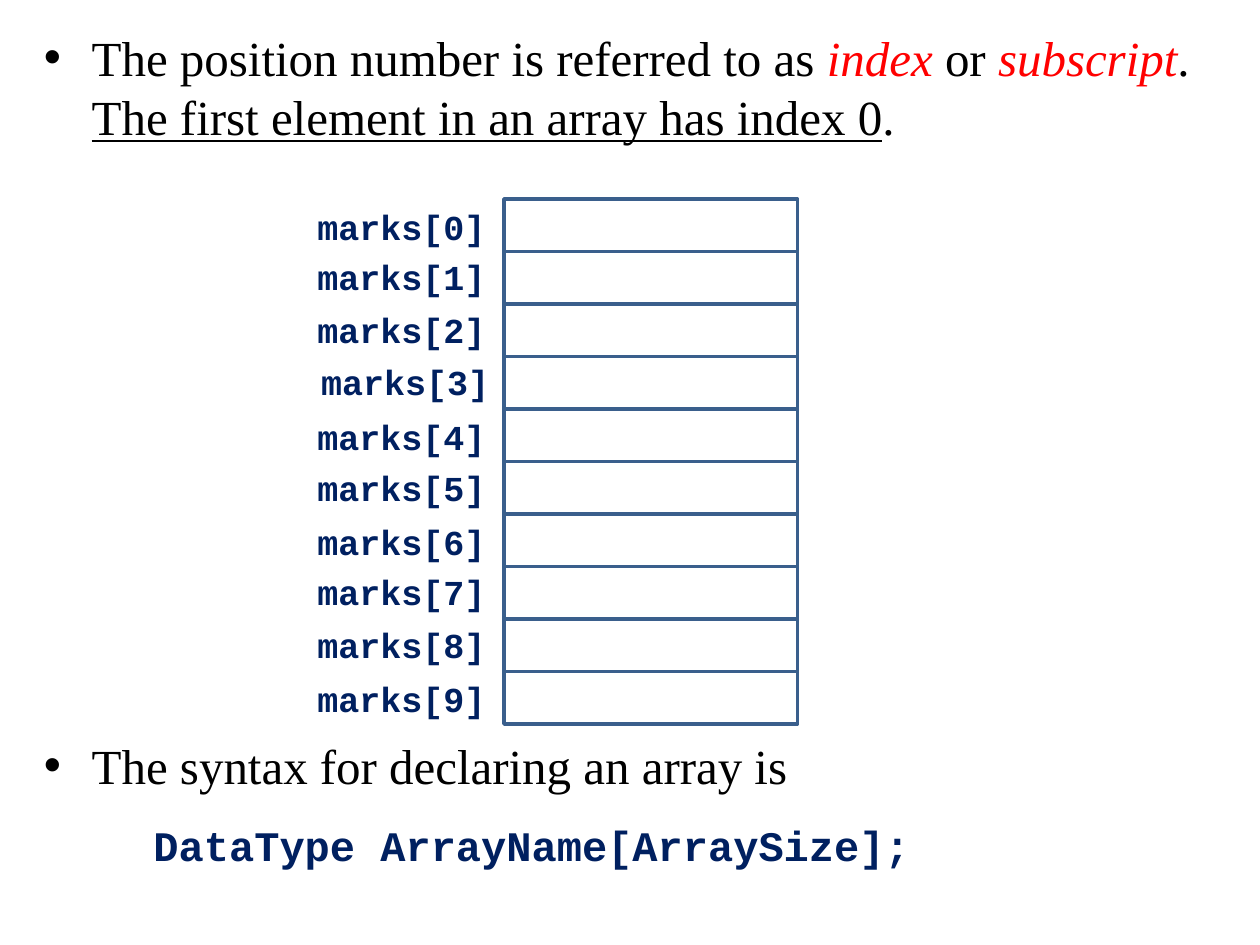
"""Build a slide on array indexes and array declaration syntax."""
from dataclasses import dataclass

from lxml import etree
from pptx import Presentation
from pptx.dml.color import RGBColor
from pptx.enum.shapes import MSO_SHAPE
from pptx.oxml.ns import qn
from pptx.util import Inches, Pt

RECT = MSO_SHAPE.RECTANGLE


@dataclass(frozen=True)
class Theme:
    body_font: str = "Times New Roman"
    code_font: str = "Courier New"
    black: str = "000000"
    red: str = "FF0000"
    navy: str = "002060"
    white: str = "FFFFFF"
    border: str = "3A5F8C"
    body_size: int = 28
    syntax_size: int = 24
    label_size: int = 20
    border_width: int = 2


THEME = Theme()


@dataclass(frozen=True)
class Span:
    text: str
    color: str = THEME.black
    size: int = THEME.body_size
    font: str = THEME.body_font
    bold: bool = False
    italic: bool = False
    underline: bool = False


@dataclass(frozen=True)
class Para:
    spans: tuple[Span, ...]
    margin: float
    hanging: float = 0
    before: float = 0


@dataclass(frozen=True)
class Label:
    index: int
    top: float
    left: float = 2.42


def code(text: str, size: int) -> Span:
    return Span(text, THEME.navy, size, THEME.code_font, bold=True)


PARAS = (
    Para((Span("The position number is referred to as "),
          Span("index", THEME.red, italic=True),
          Span(" or "),
          Span("subscript", THEME.red, italic=True),
          Span(". "),
          Span("The first element in an array has index 0", underline=True),
          Span(".")), 0.38, 0.38, 5.6),
    Para((Span("The syntax for declaring an array is"),), 0.38, 0.38, 337),
    Para((code("DataType ArrayName[ArraySize];", THEME.syntax_size),), 0.87, 0, 14.5),
)
LABELS = (
    Label(0, 1.58), Label(1, 1.98), Label(2, 2.4), Label(3, 2.81, 2.45),
    Label(4, 3.25), Label(5, 3.65), Label(6, 4.08), Label(7, 4.48),
    Label(8, 4.9), Label(9, 5.33),
)
CELL_LEFT, CELL_TOP, CELL_WIDTH = 4, 1.58, 2.33
CELL_HEIGHT = 5 / 12


def add_span(p, span: Span) -> None:
    r = p.add_run()
    r.text = span.text
    r.font.name = span.font
    r.font.size = Pt(span.size)
    r.font.bold = span.bold
    r.font.italic = span.italic
    r.font.underline = span.underline
    r.font.color.rgb = RGBColor.from_string(span.color)


def add_body(slide) -> None:
    tf = slide.shapes.add_textbox(
        Inches(0.25), Inches(0.17), Inches(9.5), Inches(7.08)).text_frame
    tf.word_wrap = True
    for i, para in enumerate(PARAS):
        p = tf.add_paragraph() if i else tf.paragraphs[0]
        p.space_before = Pt(para.before)
        pPr = p._p.get_or_add_pPr()
        pPr.set("marL", str(Inches(para.margin)))
        pPr.set("indent", str(-Inches(para.hanging)))
        if para.hanging:
            etree.SubElement(pPr, qn("a:buFont")).set("typeface", "Arial")
            etree.SubElement(pPr, qn("a:buChar")).set("char", "•")
        for span in para.spans:
            add_span(p, span)


def add_cell(slide, row: int) -> None:
    sp = slide.shapes.add_shape(
        RECT, Inches(CELL_LEFT), Inches(CELL_TOP + row * CELL_HEIGHT),
        Inches(CELL_WIDTH), Inches(CELL_HEIGHT))
    sp.shadow.inherit = False
    sp.fill.solid()
    sp.fill.fore_color.rgb = RGBColor.from_string(THEME.white)
    sp.line.color.rgb = RGBColor.from_string(THEME.border)
    sp.line.width = Pt(THEME.border_width)


def add_label(slide, label: Label) -> None:
    tf = slide.shapes.add_textbox(
        Inches(label.left), Inches(label.top), Inches(1.55), Inches(0.44)).text_frame
    tf.word_wrap = False
    add_span(tf.paragraphs[0], code(f"marks[{label.index}]", THEME.label_size))


def main() -> None:
    prs = Presentation()
    prs.slide_width, prs.slide_height = Inches(10), Inches(7.5)
    slide = prs.slides.add_slide(prs.slide_layouts[6])
    add_body(slide)
    for label in LABELS:
        add_cell(slide, label.index)
        add_label(slide, label)
    prs.save("out.pptx")


main()
